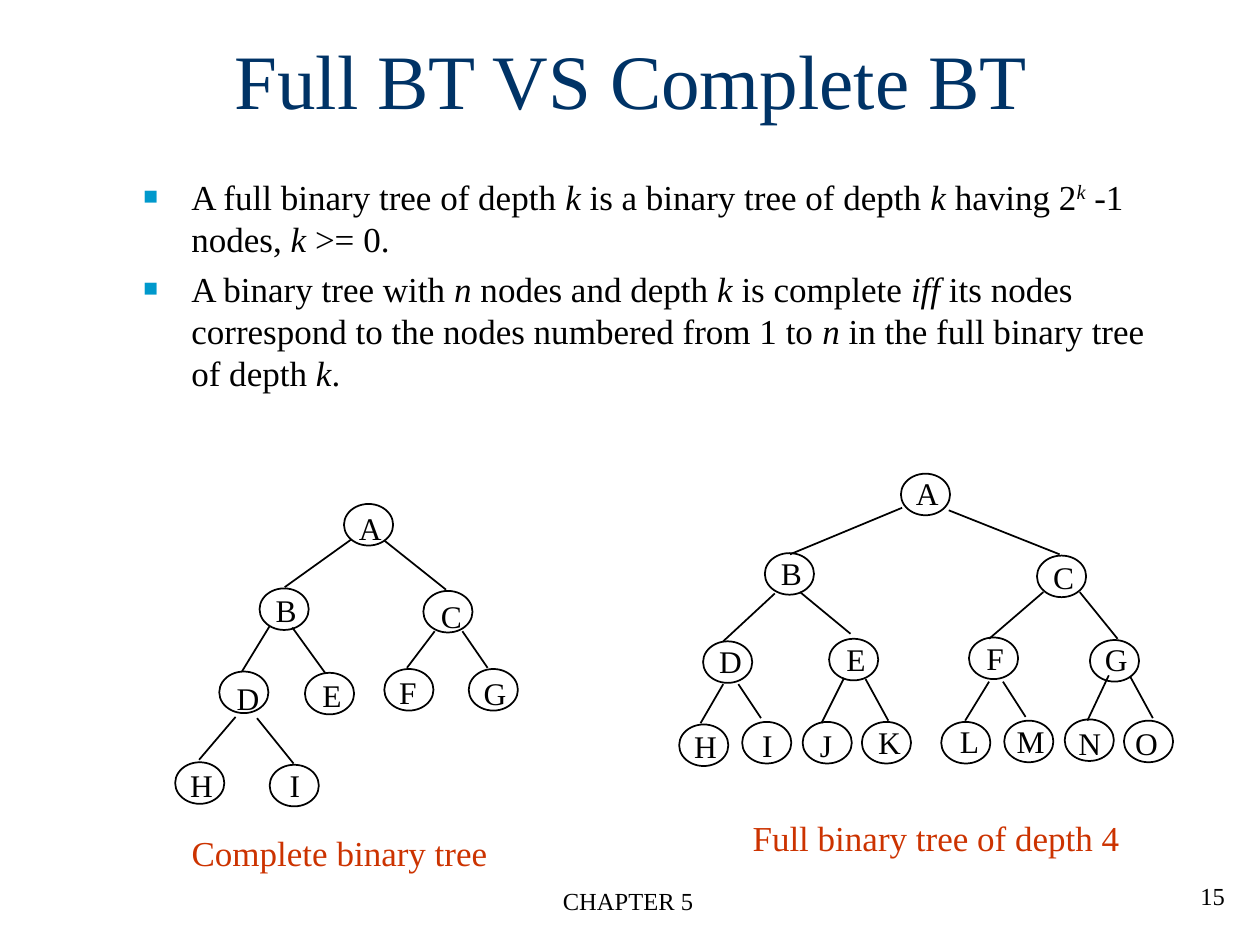
from lxml import etree
from pptx import Presentation
from pptx.dml.color import RGBColor
from pptx.enum.shapes import MSO_CONNECTOR, MSO_SHAPE
from pptx.enum.text import MSO_ANCHOR, MSO_AUTO_SIZE, PP_ALIGN
from pptx.oxml.ns import qn
from pptx.util import Inches, Pt

FONT = "Times New Roman"
COLORS = {"text": "000000", "title": "003366", "bullet": "0099CC", "caption": "CC3300"}
NODE_SIZE = (0.39, 0.33)
LABEL_WIDTHS = {"B": 0.37, "C": 0.37, "E": 0.36, "F": 0.34, "I": 0.29,
                "J": 0.3, "L": 0.36, "M": 0.42}

# Italic parts are marked with *, superscripts with ^
BULLETS = [
    ["A full binary tree of depth ", "*k", " is a binary tree of depth ", "*k",
     " having 2", "^k", " -1 nodes, ", "*k ", ">= 0."],
    ["A binary tree with ", "*n", " nodes and depth ", "*k", " is complete ", "*iff",
     " its nodes correspond to the nodes numbered from 1 to ", "*n",
     " in the full binary tree of depth ", "*k", "."],
]

# Letter, node corner, label corner, edge from the parent (start, end);
# all relative to the corner of the tree
COMPLETE_TREE = [
    ("A", (1.34, 0), (1.36, -0.01), None),
    ("B", (0.67, 0.67), (0.70, 0.64), ((1.40, 0.28), (0.87, 0.66))),
    ("C", (1.97, 0.69), (2.01, 0.69), ((1.66, 0.29), (2.15, 0.68))),
    ("D", (0.35, 1.33), (0.39, 1.34), ((0.75, 0.97), (0.53, 1.33))),
    ("E", (1.03, 1.34), (1.07, 1.32), ((0.93, 0.98), (1.19, 1.34))),
    ("F", (1.66, 1.31), (1.68, 1.29), ((2.06, 1.01), (1.84, 1.30))),
    ("G", (2.33, 1.31), (2.35, 1.30), ((2.28, 1.01), (2.48, 1.30))),
    ("H", (0, 2.05), (0.02, 2.03), ((0.48, 1.69), (0.19, 2.03))),
    ("I", (0.75, 2.07), (0.81, 2.03), ((0.65, 1.70), (0.94, 2.06))),
]
FULL_TREE = [
    ("A", (1.76, 0), (1.78, -0.05), None),
    ("B", (0.68, 0.63), (0.71, 0.59), ((1.77, 0.27), (0.88, 0.64))),
    ("C", (2.84, 0.65), (2.87, 0.62), ((2.14, 0.29), (3.02, 0.64))),
    ("D", (0.19, 1.33), (0.22, 1.29), ((0.76, 0.95), (0.35, 1.33))),
    ("E", (1.19, 1.31), (1.23, 1.27), ((0.96, 0.94), (1.36, 1.27))),
    ("F", (2.30, 1.30), (2.34, 1.26), ((2.89, 0.94), (2.46, 1.31))),
    ("G", (3.26, 1.32), (3.28, 1.27), ((3.18, 0.94), (3.48, 1.31))),
    ("H", (0, 1.99), (0.02, 1.96), ((0.35, 1.67), (0.17, 1.98))),
    ("I", (0.50, 1.97), (0.56, 1.95), ((0.47, 1.67), (0.65, 1.94))),
    ("J", (0.98, 1.97), (1.02, 1.95), ((1.31, 1.62), (1.13, 1.98))),
    ("K", (1.45, 1.97), (1.48, 1.93), ((1.48, 1.63), (1.66, 1.96))),
    ("L", (2.08, 1.97), (2.13, 1.92), ((2.46, 1.65), (2.27, 1.96))),
    ("M", (2.58, 1.96), (2.58, 1.92), ((2.57, 1.65), (2.75, 1.93))),
    ("N", (3.06, 1.95), (3.07, 1.94), ((3.41, 1.60), (3.24, 1.96))),
    ("O", (3.53, 1.96), (3.52, 1.94), ((3.58, 1.61), (3.76, 1.94))),
]


def rgb(name):
    return RGBColor.from_string(COLORS[name])


def style_font(font, size, color):
    font.name = FONT
    font.size = Pt(size)
    font.color.rgb = rgb(color)


def add_text(slide, box, text, size, color="text", align=PP_ALIGN.LEFT,
             anchor=MSO_ANCHOR.TOP, wrap=True):
    shape = slide.shapes.add_textbox(*map(Inches, box))
    frame = shape.text_frame
    frame.word_wrap = wrap
    frame.vertical_anchor = anchor
    if not wrap:
        frame.auto_size = MSO_AUTO_SIZE.SHAPE_TO_FIT_TEXT
    paragraph = frame.paragraphs[0]
    paragraph.text = text
    paragraph.alignment = align
    style_font(paragraph.font, size, color)


def add_bullet(paragraph):
    properties = paragraph._p.get_or_add_pPr()
    properties.set("marL", str(Inches(0.38)))
    properties.set("indent", str(-Inches(0.38)))
    color = etree.SubElement(properties, qn("a:buClr"))
    etree.SubElement(color, qn("a:srgbClr"), val=COLORS["bullet"])
    etree.SubElement(properties, qn("a:buSzPct"), val="70000")
    etree.SubElement(properties, qn("a:buFont"), typeface=FONT)
    etree.SubElement(properties, qn("a:buChar"), char="■")


def add_definitions(slide, box):
    frame = slide.shapes.add_textbox(*map(Inches, box)).text_frame
    frame.word_wrap = True
    for index, parts in enumerate(BULLETS):
        paragraph = frame.add_paragraph() if index else frame.paragraphs[0]
        add_bullet(paragraph)
        if index:
            paragraph.space_before = Pt(5)
        style_font(paragraph.font, 20, "text")
        for part in parts:
            run = paragraph.add_run()
            run.text = part.lstrip("*^")
            if part[0] in "*^":
                run.font.italic = True
            if part[0] == "^":
                run.font._element.set("baseline", "30000")


def style_line(line):
    line.color.rgb = rgb("text")
    line.width = Pt(1)


def add_tree(slide, left, top, nodes):
    def place(point):
        return left + point[0], top + point[1]

    for letter, corner, label, edge in nodes:
        # Node
        node = slide.shapes.add_shape(
            MSO_SHAPE.OVAL, *map(Inches, place(corner) + NODE_SIZE))
        node.shadow.inherit = False
        node.fill.background()
        style_line(node.line)
        # Label
        label_box = place(label) + (LABEL_WIDTHS.get(letter, 0.38), 0.4)
        add_text(slide, label_box, letter, 18, wrap=False)
        # Edge from the parent
        if edge:
            start, end = edge
            connector = slide.shapes.add_connector(
                MSO_CONNECTOR.STRAIGHT, *map(Inches, place(start) + place(end)))
            style_line(connector.line)
            etree.SubElement(connector._element.spPr, qn("a:effectLst"))


def main():
    presentation = Presentation()
    presentation.slide_width = Inches(10)
    presentation.slide_height = Inches(7.5)
    slide = presentation.slides.add_slide(presentation.slide_layouts[6])

    # Footer
    add_text(slide, (3.4, 6.98, 3.17, 0.5), "CHAPTER 5", 14, align=PP_ALIGN.CENTER)
    add_text(slide, (7.74, 6.94, 2.08, 0.5), "15", 14, align=PP_ALIGN.RIGHT)

    # Title and definitions
    add_text(slide, (0, 0, 10.02, 1.25), "Full BT VS Complete BT", 44, "title",
             PP_ALIGN.CENTER, MSO_ANCHOR.MIDDLE)
    add_definitions(slide, (1.04, 1.34, 8.43, 2.49))

    # Trees and captions
    add_tree(slide, 1.39, 4, COMPLETE_TREE)
    add_tree(slide, 5.39, 3.76, FULL_TREE)
    for box, caption in [((5.83, 6.43, 3.2, 0.44), "Full binary tree of depth 4"),
                         ((1.37, 6.55, 2.65, 0.44), "Complete binary tree")]:
        add_text(slide, box, caption, 20, "caption", PP_ALIGN.CENTER, wrap=False)

    presentation.save("out.pptx")


if __name__ == "__main__":
    main()
